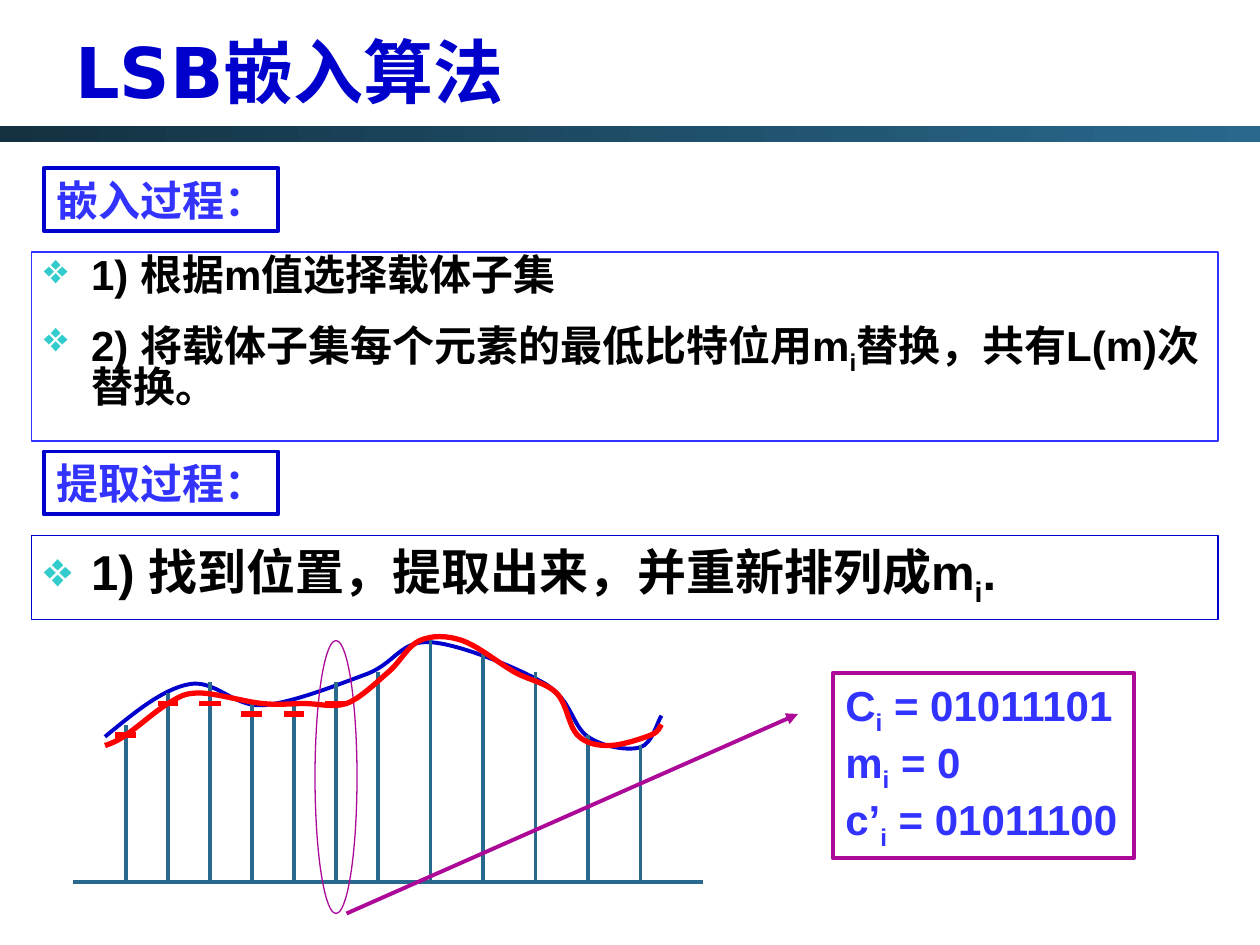
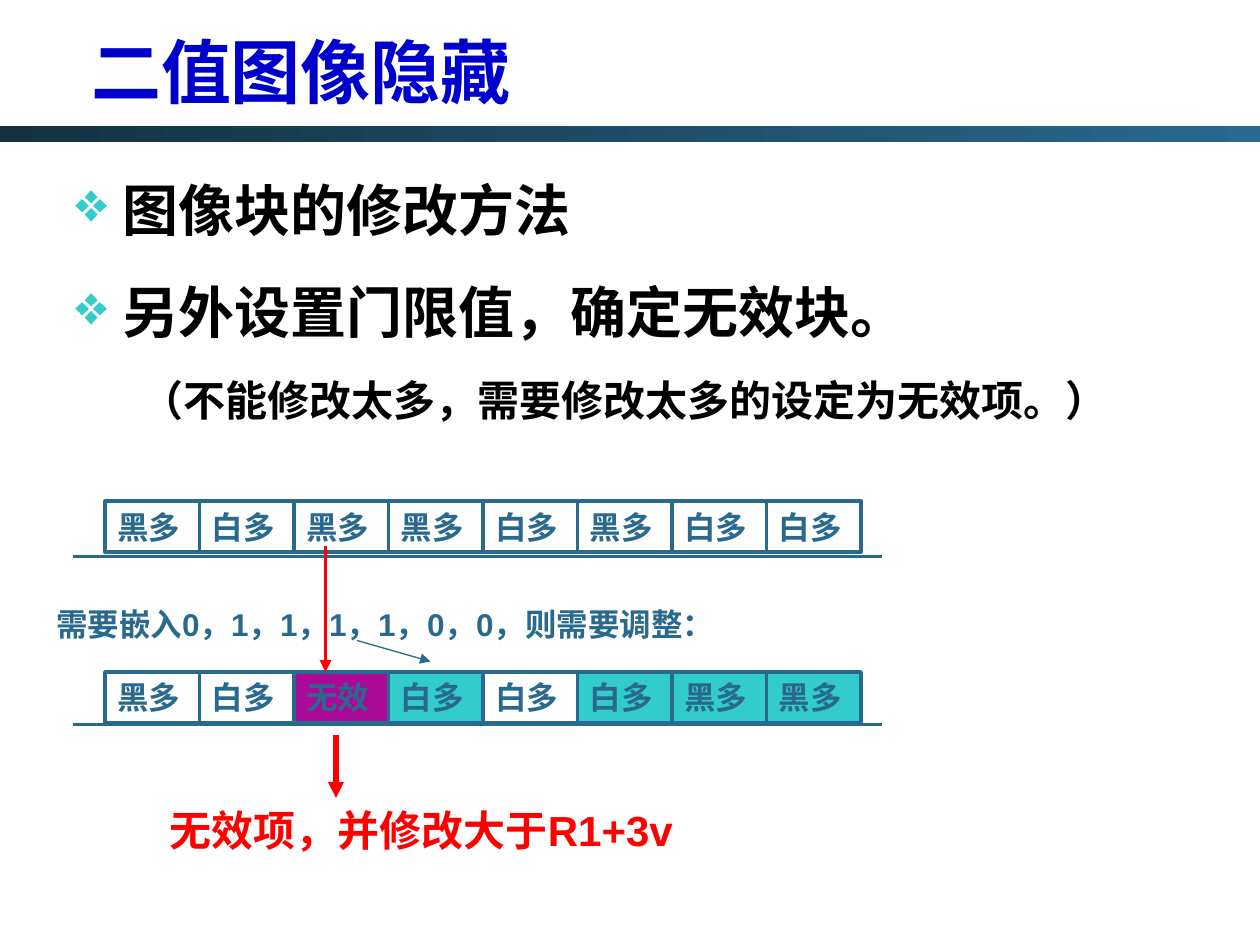
from dataclasses import dataclass

from lxml import etree
from pptx import Presentation
from pptx.dml.color import RGBColor
from pptx.enum.shapes import MSO_CONNECTOR, MSO_SHAPE
from pptx.enum.text import MSO_ANCHOR, MSO_AUTO_SIZE, PP_ALIGN
from pptx.oxml.ns import qn
from pptx.util import Pt

RECTANGLE = MSO_SHAPE.RECTANGLE
OVAL = MSO_SHAPE.OVAL
STRAIGHT = MSO_CONNECTOR.STRAIGHT
TOP = MSO_ANCHOR.TOP
MIDDLE = MSO_ANCHOR.MIDDLE
GROW = MSO_AUTO_SIZE.SHAPE_TO_FIT_TEXT
LEFT = PP_ALIGN.LEFT


@dataclass(frozen=True)
class Theme:
    navy: str = "0000CC"
    blue: str = "3333FF"
    steel: str = "29698D"
    dark: str = "133141"
    teal: str = "33CCCC"
    purple: str = "AD0999"
    red: str = "FF0000"
    black: str = "000000"
    title_font: str = "DejaVu Sans"
    body_font: str = "Arial"
    title_size: float = 40
    large: float = 32
    medium: float = 28
    normal: float = 24
    small: float = 18
    hairline: float = 0.75
    stroke: float = 2.25
    heavy: float = 3


def rgb(color):
    return RGBColor.from_string(color)


class Deck:
    def __init__(self, theme):
        self.theme = theme
        self.presentation = Presentation()
        self.presentation.slide_width = Pt(720)
        self.presentation.slide_height = Pt(540)
        self.slide = None

    def new_slide(self, title, indent=0):
        t = self.theme
        self.slide = self.presentation.slides.add_slide(self.presentation.slide_layouts[6])
        band = self.shape((0, 72, 720, 9))
        band.fill.gradient()
        band.fill.gradient_angle = 180
        for stop, color in zip(band.fill.gradient_stops, (t.steel, t.dark)):
            stop.color.rgb = rgb(color)
        heading = self.text_box((36, 18, 582, 45))
        heading.text_frame.vertical_anchor = MIDDLE
        self.paragraph(heading, title, t.title_size, t.navy, font=t.title_font, margin=indent)

    def shape(self, box, line=None, width=0.75, fill=None, kind=RECTANGLE):
        shape = self.slide.shapes.add_shape(kind, *map(Pt, box))
        shape.shadow.inherit = False
        self.paint(shape, line, width, fill)
        shape.text_frame.word_wrap = True
        shape.text_frame.vertical_anchor = TOP
        return shape

    def paint(self, shape, line, width, fill=None):
        if fill:
            shape.fill.solid()
            shape.fill.fore_color.rgb = rgb(fill)
        else:
            shape.fill.background()
        if line:
            shape.line.color.rgb = rgb(line)
            shape.line.width = Pt(width)
        else:
            shape.line.fill.background()

    def text_box(self, box):
        text_box = self.slide.shapes.add_textbox(*map(Pt, box))
        text_box.text_frame.word_wrap = True
        return text_box

    def fit(self, shape, wrap=False):
        shape.text_frame.word_wrap = wrap
        shape.text_frame.auto_size = GROW
        return shape

    def paragraph(self, shape, text, size, color, font=None, margin=0, bullet=False,
                  before=0, after=0, spacing=None):
        """Text between underscores is set as a subscript."""
        frame = shape.text_frame
        first = not frame.paragraphs[0].runs
        paragraph = frame.paragraphs[0] if first else frame.add_paragraph()
        paragraph.alignment = LEFT
        properties = paragraph._p.get_or_add_pPr()
        if margin:
            properties.set("marL", str(Pt(margin)))
        if bullet:
            properties.set("marL", str(Pt(27)))
            properties.set("indent", str(Pt(-27)))
            bullet_color = etree.SubElement(properties, qn("a:buClr"))
            etree.SubElement(bullet_color, qn("a:srgbClr"), val=self.theme.teal)
            etree.SubElement(properties, qn("a:buChar"), char="❖")
        paragraph.space_before = Pt(0 if first else before)
        paragraph.space_after = Pt(after)
        if spacing:
            paragraph.line_spacing = spacing
        paragraph.font.name = font or self.theme.body_font
        paragraph.font.size = Pt(size)
        paragraph.font.bold = True
        paragraph.font.color.rgb = rgb(color)
        for index, part in enumerate(text.split("_")):
            run = paragraph.add_run()
            run.text = part
            if index % 2:
                run._r.get_or_add_rPr().set("baseline", "-25000")

    def line(self, start, end, color, width, arrow=False):
        connector = self.slide.shapes.add_connector(STRAIGHT, *map(Pt, (*start, *end)))
        connector.line.color.rgb = rgb(color)
        connector.line.width = Pt(width)
        properties = connector.element.spPr
        if arrow:
            etree.SubElement(properties.find(qn("a:ln")), qn("a:tailEnd"), type="triangle")
        etree.SubElement(properties, qn("a:effectLst"))

    def curve(self, points, color, width):
        start, *controls = [(Pt(x), Pt(y)) for x, y in points]
        builder = self.slide.shapes.build_freeform(*start)
        builder.add_line_segments(controls, close=False)
        curve = builder.convert_to_shape()
        curve.shadow.inherit = False
        self.paint(curve, color, width)
        segments = list(curve.element.iter(qn("a:lnTo")))
        outline = segments[0].getparent()
        for first in range(0, len(segments), 3):
            cubic = etree.SubElement(outline, qn("a:cubicBezTo"))
            for segment in segments[first:first + 3]:
                cubic.append(segment[0])
                outline.remove(segment)


COVER_WAVE = [
    (60, 421), (76.3, 407.5), (92.9, 393.8), (108, 391),
    (123.1, 388.1), (133.2, 403.9), (150, 403),
    (167, 401.8), (193.7, 391), (210, 385),
    (226, 378.7), (229, 365.8), (246, 367),
    (262.8, 367.9), (297.4, 382.3), (312, 391),
    (326.9, 400.3), (326.9, 414.7), (336, 421),
    (344.9, 427), (359.3, 429.1), (366, 427),
    (373, 424.8), (375.8, 411.8), (378, 409),
]
STEGO_WAVE = [
    (60, 426), (63.4, 424.8), (66.2, 424), (72, 420),
    (78, 416), (89.3, 406), (96, 402),
    (103, 398), (105, 396), (114, 396),
    (123, 396), (139.7, 401), (150, 402),
    (160, 403), (166, 402), (174, 402),
    (182, 402), (190, 404.6), (198, 402),
    (206, 399), (215, 390), (222, 384),
    (229, 378), (233, 369), (240, 366),
    (247, 363), (255, 363), (264, 366),
    (273, 369), (285, 379), (294, 384),
    (303, 389), (312, 390), (318, 396),
    (324, 402), (325, 415), (330, 420),
    (335, 425), (341, 426), (348, 426),
    (355, 426), (367, 422), (372, 420),
    (377, 418), (377, 415), (378, 414),
]


def add_lsb_slide(deck):
    t = deck.theme
    deck.new_slide("LSB嵌入算法")

    embedding = deck.shape((18, 144, 678, 108), t.blue, t.hairline)
    for step in ("1) 根据m值选择载体子集",
                 "2) 将载体子集每个元素的最低比特位用m_i_替换，共有L(m)次替换。"):
        deck.paragraph(embedding, step, t.normal, t.black, bullet=True,
                       before=9, after=6, spacing=0.8)
    for label, top in (("嵌入过程：", 96), ("提取过程：", 258)):
        heading = deck.fit(deck.shape((25, top, 134, 36), t.navy, t.stroke))
        deck.paragraph(heading, label, t.normal, t.blue)
    extraction = deck.shape((18, 306, 678, 48), t.navy, t.hairline)
    deck.paragraph(extraction, "1) 找到位置，提取出来，并重新排列成m_i_.", t.medium, t.black,
                   bullet=True, after=7)

    bits = deck.fit(deck.shape((476, 384.5, 172, 106), t.purple, t.stroke))
    for equation in ("C_i_ = 01011101", "m_i_ = 0", "c’_i_ = 01011100"):
        deck.paragraph(bits, equation, t.normal, t.blue)

    axis = 504
    deck.line((42, axis), (402, axis), t.steel, t.stroke)
    deck.curve(COVER_WAVE, t.navy, t.stroke)
    sample_xs = [*range(72, 217, 24), *range(246, 367, 30)]
    sample_tops = [414, 396, 390, 402, 402, 390, 384, 366, 372, 384, 420, 426]
    for x, top in zip(sample_xs, sample_tops):
        deck.line((x, top), (x, axis), t.steel, t.stroke)
    for x, level in zip(sample_xs, [420, 402, 402, 408, 408, 402]):
        deck.line((x - 6, level), (x + 6, level), t.red, t.heavy)
    deck.shape((180, 366, 24, 156), t.purple, t.hairline, kind=OVAL)
    deck.line((198, 522), (456, 408), t.purple, t.stroke, arrow=True)
    deck.curve(STEGO_WAVE, t.red, t.heavy)


def add_block_row(deck, top, baseline, blocks):
    t = deck.theme
    deck.line((42, baseline), (504, baseline), t.steel, t.stroke)
    for column, (label, fill) in enumerate(blocks):
        block = deck.shape((60 + 54 * column, top, 54, 29), t.steel, t.stroke, fill)
        deck.paragraph(deck.fit(block, wrap=True), label, t.small, t.steel)


def add_binary_image_slide(deck):
    t = deck.theme
    deck.new_slide("二值图像隐藏", indent=9)

    method = deck.text_box((36, 96.5, 648, 401))
    for point in ("图像块的修改方法", "另外设置门限值，确定无效块。"):
        deck.paragraph(method, point, t.large, t.black, bullet=True, before=12, after=8)
    deck.paragraph(method, "（不能修改太多，需要修改太多的设定为无效项。）", t.normal, t.black,
                   margin=38, before=9, after=6)

    black, white, invalid = "黑多", "白多", "无效"
    before = [black, white, black, black, white, black, white, white]
    after = [black, white, invalid, white, white, white, black, black]
    adjusted = []
    for old, new in zip(before, after):
        fill = t.purple if new == invalid else t.teal if new != old else None
        adjusted.append((new, fill))
    add_block_row(deck, 286.5, 318, [(label, None) for label in before])
    message = deck.fit(deck.text_box((25, 342, 451, 29)))
    deck.paragraph(message, "需要嵌入0，1，1，1，1，0，0，则需要调整：", t.small, t.steel)
    add_block_row(deck, 384, 414, adjusted)

    deck.line((186, 312), (186, 384), t.red, t.stroke, arrow=True)
    verdict = deck.fit(deck.text_box((90, 456, 324, 36)), wrap=True)
    deck.paragraph(verdict, "无效项，并修改大于R1+3v", t.normal, t.red)
    deck.line((192, 420), (192, 456), t.red, t.heavy, arrow=True)
    deck.line((204, 366), (246, 378), t.steel, t.hairline, arrow=True)


def main():
    deck = Deck(Theme())
    add_lsb_slide(deck)
    add_binary_image_slide(deck)
    deck.presentation.save("out.pptx")


if __name__ == "__main__":
    main()
